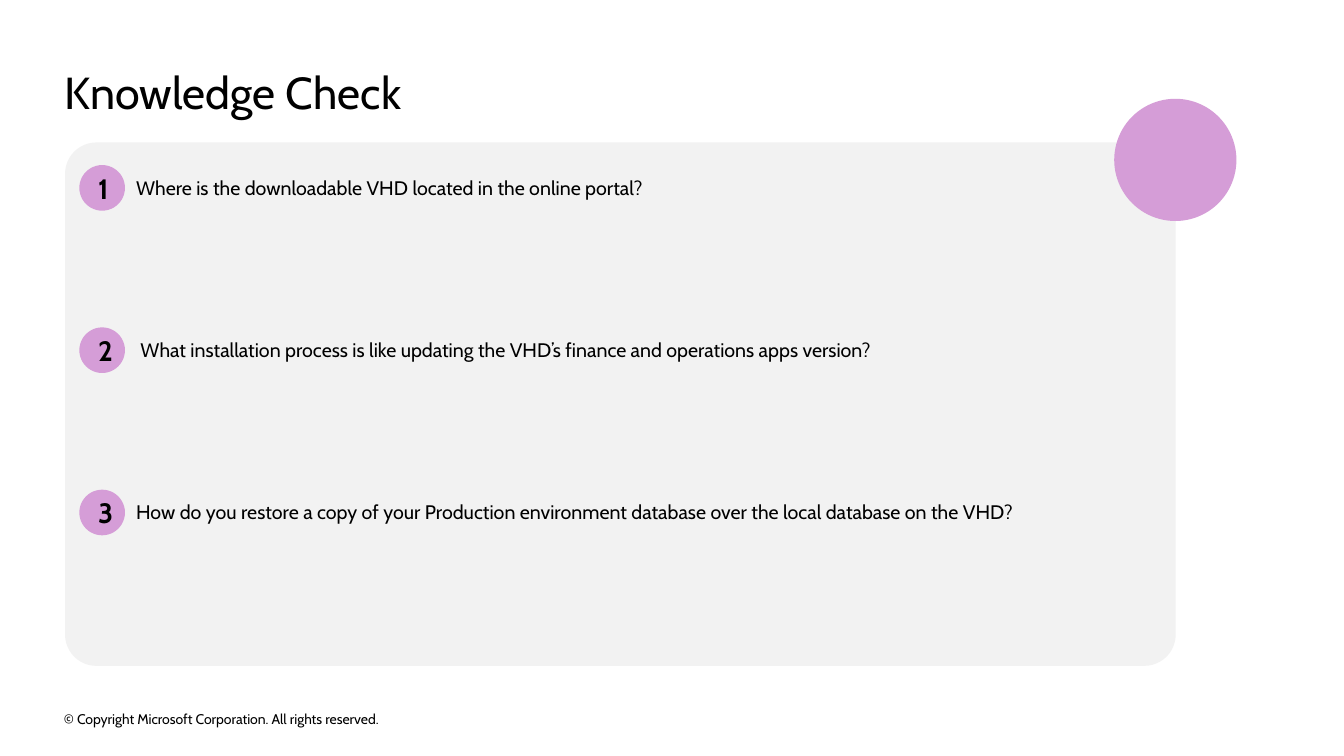
"""Build the Knowledge Check slide with three numbered questions."""
from dataclasses import dataclass

import pptx
import pptx.dml.color
import pptx.enum.shapes
import pptx.enum.text
import pptx.util

Cm = pptx.util.Cm
Pt = pptx.util.Pt
SHAPE = pptx.enum.shapes.MSO_SHAPE
ALIGN = pptx.enum.text.PP_ALIGN
ANCHOR = pptx.enum.text.MSO_ANCHOR
FIT = pptx.enum.text.MSO_AUTO_SIZE

BLACK = pptx.dml.color.RGBColor(0x00, 0x00, 0x00)
GREY = pptx.dml.color.RGBColor(0xF2, 0xF2, 0xF2)
LILAC = pptx.dml.color.RGBColor(0xD5, 0x9D, 0xD7)

FIRST_ROW = 4.16
ROW_STEP = 4.09
BADGE_SIZE = 1.15


@dataclass(frozen=True)
class Box:
    left: float
    top: float
    width: float
    height: float

    def lengths(self) -> list[pptx.util.Length]:
        return [Cm(v) for v in (self.left, self.top, self.width, self.height)]


@dataclass(frozen=True)
class Question:
    number: int
    text: str

    @property
    def top(self) -> float:
        return FIRST_ROW + (self.number - 1) * ROW_STEP


QUESTIONS = [
    Question(1, "Where is the downloadable VHD located in the online portal?"),
    Question(2, " What installation process is like updating the VHD’s "
                "finance and operations apps version?"),
    Question(3, "How do you restore a copy of your Production environment "
                "database over the local database on the VHD?"),
]


def write(tf, text: str, size: int, bold: bool = False,
          inset_x: float = 0, inset_y: float = 0, **frame) -> None:
    settings = {
        "word_wrap": True,
        "margin_left": Cm(inset_x), "margin_right": Cm(inset_x),
        "margin_top": Cm(inset_y), "margin_bottom": Cm(inset_y),
        **frame,
    }
    for name, value in settings.items():
        setattr(tf, name, value)
    r = tf.paragraphs[0].add_run()
    r.text = text
    r.font.color.rgb = BLACK
    for name, value in {"name": "Cabin", "size": Pt(size), "bold": bold}.items():
        setattr(r.font, name, value)


def add_text(s, box: Box, text: str, size: int, **frame) -> None:
    write(s.shapes.add_textbox(*box.lengths()).text_frame, text, size, **frame)


def add_filled(s, kind, box: Box, color):
    sp = s.shapes.add_shape(kind, *box.lengths())
    sp.shadow.inherit = False
    sp.fill.solid()
    sp.fill.fore_color.rgb = color
    sp.line.fill.background()
    return sp


def add_question(s, question: Question) -> None:
    badge = Box(2.0, question.top, BADGE_SIZE, BADGE_SIZE)
    tf = add_filled(s, SHAPE.OVAL, badge, LILAC).text_frame
    write(tf, str(question.number), 20, bold=True, inset_x=0.51, inset_y=0.41,
          vertical_anchor=ANCHOR.MIDDLE)
    tf.paragraphs[0].alignment = ALIGN.CENTER
    add_text(s, Box(3.43, question.top + 0.27, 24.38, 0.61), question.text, 14,
             auto_size=FIT.SHAPE_TO_FIT_TEXT)


def main() -> None:
    prs = pptx.Presentation()
    prs.slide_width, prs.slide_height = Cm(33.87), Cm(19.05)
    s = prs.slides.add_slide(prs.slide_layouts[6])
    add_text(s, Box(1.61, 17.83, 11.53, 0.56),
             "© Copyright Microsoft Corporation. All rights reserved.", 10,
             vertical_anchor=ANCHOR.MIDDLE)
    panel = add_filled(s, SHAPE.ROUNDED_RECTANGLE,
                       Box(1.64, 3.59, 27.99, 13.19), GREY)
    panel.adjustments[0] = 0.06
    add_filled(s, SHAPE.OVAL, Box(28.08, 2.49, 3.08, 3.08), LILAC)
    add_text(s, Box(1.63, 1.63, 30.58, 1.37), "Knowledge Check", 32,
             auto_size=FIT.SHAPE_TO_FIT_TEXT)
    for question in QUESTIONS:
        add_question(s, question)
    prs.save("out.pptx")


if __name__ == "__main__":
    main()
